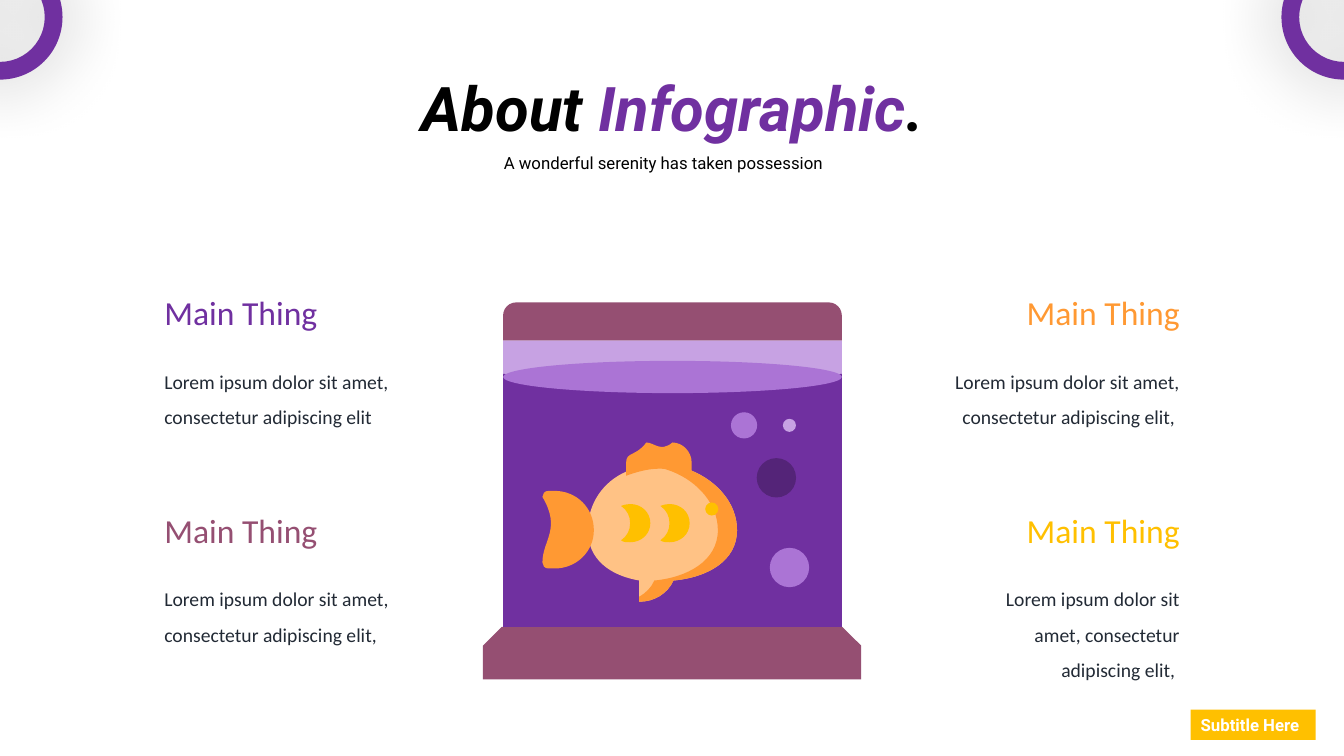
"""Build a fish tank infographic slide with four captions."""
from lxml import etree
from pptx import Presentation
from pptx.dml.color import RGBColor
from pptx.enum.shapes import MSO_SHAPE
from pptx.enum.text import MSO_ANCHOR, MSO_AUTO_SIZE, PP_ALIGN
from pptx.oxml.ns import qn
from pptx.util import Inches, Pt

OVAL, RECTANGLE, DONUT = MSO_SHAPE.OVAL, MSO_SHAPE.RECTANGLE, MSO_SHAPE.DONUT
SNIPPED, ROUNDED = MSO_SHAPE.SNIP_2_SAME_RECTANGLE, MSO_SHAPE.ROUND_2_SAME_RECTANGLE
SURFACE = MSO_SHAPE.FLOWCHART_CONNECTOR
LEFT, CENTER, RIGHT = PP_ALIGN.LEFT, PP_ALIGN.CENTER, PP_ALIGN.RIGHT
TOP, GROW = MSO_ANCHOR.TOP, MSO_AUTO_SIZE.SHAPE_TO_FIT_TEXT

PURPLE = RGBColor(0x70, 0x30, 0xA0)
DEEP = RGBColor(0x54, 0x24, 0x78)
LILAC = RGBColor(0xAB, 0x74, 0xD5)
PALE = RGBColor(0xC7, 0xA2, 0xE3)
PLUM = RGBColor(0x95, 0x4F, 0x72)
ORANGE = RGBColor(0xFF, 0x99, 0x33)
PEACH = RGBColor(0xFF, 0xC2, 0x85)
GOLD = RGBColor(0xFF, 0xC0, 0x00)
SLATE = RGBColor(0x22, 0x2A, 0x35)
BLACK = RGBColor(0, 0, 0)
WHITE = RGBColor(0xFF, 0xFF, 0xFF)

WIDTH, HEIGHT = 13.33, 7.5
MARGIN, FIRST_ROW, ROW_PITCH, BODY_DROP = 1.63, 2.9, 2.16, 0.65
HEADING = "Main Thing"
TITLE = [("About ", BLACK), ("Infographic", PURPLE), (".", BLACK)]
SUBTITLE = [("A wonderful serenity has taken possession", BLACK)]
TAG = [("Subtitle Here", WHITE)]
CARDS = [
    (LEFT, 0, PURPLE, 2.27, "Lorem ipsum dolor sit amet, consectetur adipiscing elit"),
    (LEFT, 1, PLUM, 2.35, "Lorem ipsum dolor sit amet, consectetur adipiscing elit,"),
    (RIGHT, 0, ORANGE, 2.35, "Lorem ipsum dolor sit amet, consectetur adipiscing elit, "),
    (RIGHT, 1, GOLD, 2.2, "Lorem ipsum dolor sit amet, consectetur adipiscing elit, "),
]

TANK_LEFT, TANK_RIGHT, TANK_TOP, TANK_BOTTOM = 4.99, 8.35, 3, 6.22
CAP_BOTTOM, CREST, TROUGH, WAVES = 3.38, 3.71, 3.83, 6
TANK_WIDTH = TANK_RIGHT - TANK_LEFT
BUBBLES = [
    (7.7, 4.74, 0.39, DEEP), (7.38, 4.22, 0.26, LILAC),
    (7.83, 4.22, 0.13, PALE), (7.83, 5.63, 0.39, LILAC),
]
EYE = (7.06, 5.05, 0.13, GOLD)
BODY = [
    (7.31, 5.26), (7.31, 5.57, 7.01, 5.73, 6.68, 5.76),
    (6.62, 5.89, 6.49, 5.97, 6.34, 5.97), (6.34, 5.76),
    (6.05, 5.71, 5.83, 5.55, 5.83, 5.26), (5.83, 5, 5.98, 4.78, 6.21, 4.68),
    (6.32, 4.63, 6.43, 4.61, 6.54, 4.61), (6.65, 4.61, 6.76, 4.63, 6.86, 4.67),
    (7.12, 4.78, 7.31, 5, 7.31, 5.26),
]
BACK = [
    (6.86, 4.67), (6.76, 4.63, 6.65, 4.61, 6.54, 4.61),
    (6.51, 4.61, 6.47, 4.61, 6.44, 4.62), (6.52, 4.63, 6.59, 4.65, 6.67, 4.68),
    (6.92, 4.78, 7.12, 5, 7.12, 5.26), (7.12, 5.57, 6.81, 5.73, 6.49, 5.76),
    (6.46, 5.83, 6.41, 5.88, 6.34, 5.92), (6.34, 5.97),
    (6.49, 5.97, 6.62, 5.89, 6.68, 5.76), (7.01, 5.73, 7.31, 5.57, 7.31, 5.26),
    (7.31, 5, 7.12, 4.78, 6.86, 4.67),
]
TAIL = [
    (5.44, 5.64), (5.5, 5.64), (5.72, 5.64, 5.89, 5.47, 5.89, 5.26),
    (5.89, 5.04, 5.72, 4.87, 5.5, 4.87), (5.44, 4.87),
    (5.4, 4.87, 5.38, 4.9, 5.38, 4.93), (5.57, 5.25, 5.38, 5.36, 5.38, 5.58),
    (5.38, 5.61, 5.4, 5.64, 5.44, 5.64),
]
FIN = [
    (6.86, 4.59), (6.86, 4.72), (6.76, 4.67, 6.65, 4.65, 6.54, 4.65),
    (6.43, 4.65, 6.32, 4.68, 6.21, 4.72), (6.21, 4.59),
    (6.21, 4.48, 6.31, 4.53, 6.41, 4.39), (6.49, 4.39, 6.55, 4.49, 6.67, 4.39),
    (6.77, 4.39, 6.86, 4.48, 6.86, 4.59),
]
SCALE = [
    (6.25, 5), (6.22, 5, 6.18, 5.01, 6.16, 5.02),
    (6.22, 5.06, 6.25, 5.12, 6.25, 5.19), (6.25, 5.26, 6.22, 5.32, 6.16, 5.36),
    (6.18, 5.38, 6.22, 5.38, 6.25, 5.38), (6.36, 5.38, 6.45, 5.3, 6.45, 5.19),
    (6.45, 5.08, 6.36, 5, 6.25, 5),
]
SCALE_PITCH, UNITS = 0.39, 1000


def paint(shape, color):
    shape.shadow.inherit = False
    shape.fill.solid()
    shape.fill.fore_color.rgb = color
    shape.line.fill.background()
    return shape


def add_preset(page, kind, left, top, width, height, color, adjustments=()):
    shape = page.shapes.add_shape(kind, *map(Inches, (left, top, width, height)))
    for index, value in enumerate(adjustments):
        shape.adjustments[index] = value
    return paint(shape, color)


def add_disc(page, x, y, size, color):
    add_preset(page, OVAL, x - size / 2, y - size / 2, size, size, color)


def add_outline(page, outline, color, shift=0):
    parts = [[(round((x + shift) * UNITS), round(y * UNITS))
              for x, y in zip(part[::2], part[1::2])] for part in outline]
    ends = [part[-1] for part in parts]
    builder = page.shapes.build_freeform(*ends[0], scale=Inches(1) / UNITS)
    builder.add_line_segments(ends[1:], close=True)
    shape = paint(builder.convert_to_shape(), color)
    left, top = (min(values) for values in zip(*ends))
    segments = list(shape._element.iter(qn("a:lnTo")))
    for segment, part in zip(segments, parts[1:]):
        if len(part) == 3:
            curve = etree.Element(qn("a:cubicBezTo"))
            for x, y in part:
                etree.SubElement(curve, qn("a:pt"), x=str(x - left), y=str(y - top))
            segment.getparent().replace(segment, curve)


def wave(start, end):
    step = (end - start) / WAVES
    levels = [CREST, TROUGH]
    parts = [(start, CREST)]
    for index in range(WAVES):
        x, y, next_y = start + index * step, levels[index % 2], levels[1 - index % 2]
        parts.append((x + step / 2, y, x + step / 2, next_y, x + step, next_y))
    return parts


def write(box, spans, font, size, align=LEFT, spacing=None, bold=None, italic=None,
          wrap=True, inset=True):
    frame = box.text_frame
    frame.word_wrap, frame.auto_size, frame.vertical_anchor = wrap, GROW, TOP
    if not inset:
        frame.margin_left = frame.margin_right = frame.margin_top = frame.margin_bottom = 0
    para = frame.paragraphs[0]
    para.alignment = align
    if spacing:
        para.line_spacing = spacing
    para.font.name, para.font.size = font, Pt(size)
    para.font.bold, para.font.italic = bold, italic
    for text, color in spans:
        span = para.add_run()
        span.text = text
        span.font.color.rgb = color


def add_text(page, left, top, width, height, spans, *style, **options):
    box = page.shapes.add_textbox(*map(Inches, (left, top, width, height)))
    write(box, spans, *style, **options)


def add_glow(shape):
    effects = shape._element.spPr.find(qn("a:effectLst"))
    shadow = etree.SubElement(effects, qn("a:outerShdw"), blurRad=str(Pt(49)), dist="0",
                              dir="0", algn="ctr", rotWithShape="0")
    color = etree.SubElement(shadow, qn("a:srgbClr"), val=str(BLACK))
    etree.SubElement(color, qn("a:alpha"), val="33000")


def draw_tank(page):
    add_preset(page, SNIPPED, 4.79, TANK_BOTTOM, 3.75, 0.52, PLUM, (0.355, 0))
    add_preset(page, ROUNDED, TANK_LEFT, TANK_TOP, TANK_WIDTH, CAP_BOTTOM - TANK_TOP,
               PLUM, (0.34, 0))
    for level, color in ((CAP_BOTTOM, PALE), (TANK_BOTTOM, PURPLE)):
        edge = wave(TANK_LEFT, TANK_RIGHT)
        add_outline(page, edge + [(TANK_RIGHT, level), (TANK_LEFT, level)], color)
    add_preset(page, SURFACE, TANK_LEFT, 3.58, TANK_WIDTH, 0.32, LILAC)
    for bubble in BUBBLES:
        add_disc(page, *bubble)


def draw_fish(page):
    for outline, color in ((BODY, PEACH), (BACK, ORANGE), (TAIL, ORANGE), (FIN, ORANGE)):
        add_outline(page, outline, color)
    for index in range(2):
        add_outline(page, SCALE, GOLD, index * SCALE_PITCH)
    add_disc(page, *EYE)


def main():
    deck = Presentation()
    deck.slide_width, deck.slide_height = Inches(WIDTH), Inches(HEIGHT)
    page = deck.slides.add_slide(deck.slide_layouts[6])
    draw_tank(page)
    draw_fish(page)
    for align, row, color, width, body in CARDS:
        top = FIRST_ROW + row * ROW_PITCH
        for text, ink, size, drop, wide, tall, spacing in (
                (HEADING, color, 24, 0, 1.68, 0.4, None),
                (body, SLATE, 14, BODY_DROP, width, 1.02, 1.5)):
            left = MARGIN if align == LEFT else WIDTH - MARGIN - wide
            add_text(page, left, top + drop, wide, tall, [(text, ink)], "Calibri", size,
                     align, spacing, wrap=spacing is not None, inset=False)
    add_text(page, 2.37, 0.64, 8.6, 0.84, TITLE, "Roboto", 44, CENTER, bold=True, italic=True)
    add_text(page, 4.37, 1.37, 4.42, 0.37, SUBTITLE, "Roboto", 12, CENTER, 1.5)
    tag = add_preset(page, RECTANGLE, 11.81, 7.04, 1.24, 0.3, GOLD)
    write(tag, TAG, "Roboto", 12, bold=True, wrap=False)
    for x in (0, WIDTH):
        add_glow(add_preset(page, DONUT, x - 0.62, -0.45, 1.24, 1.24, PURPLE, (0.142,)))
    deck.save("out.pptx")


if __name__ == "__main__":
    main()
